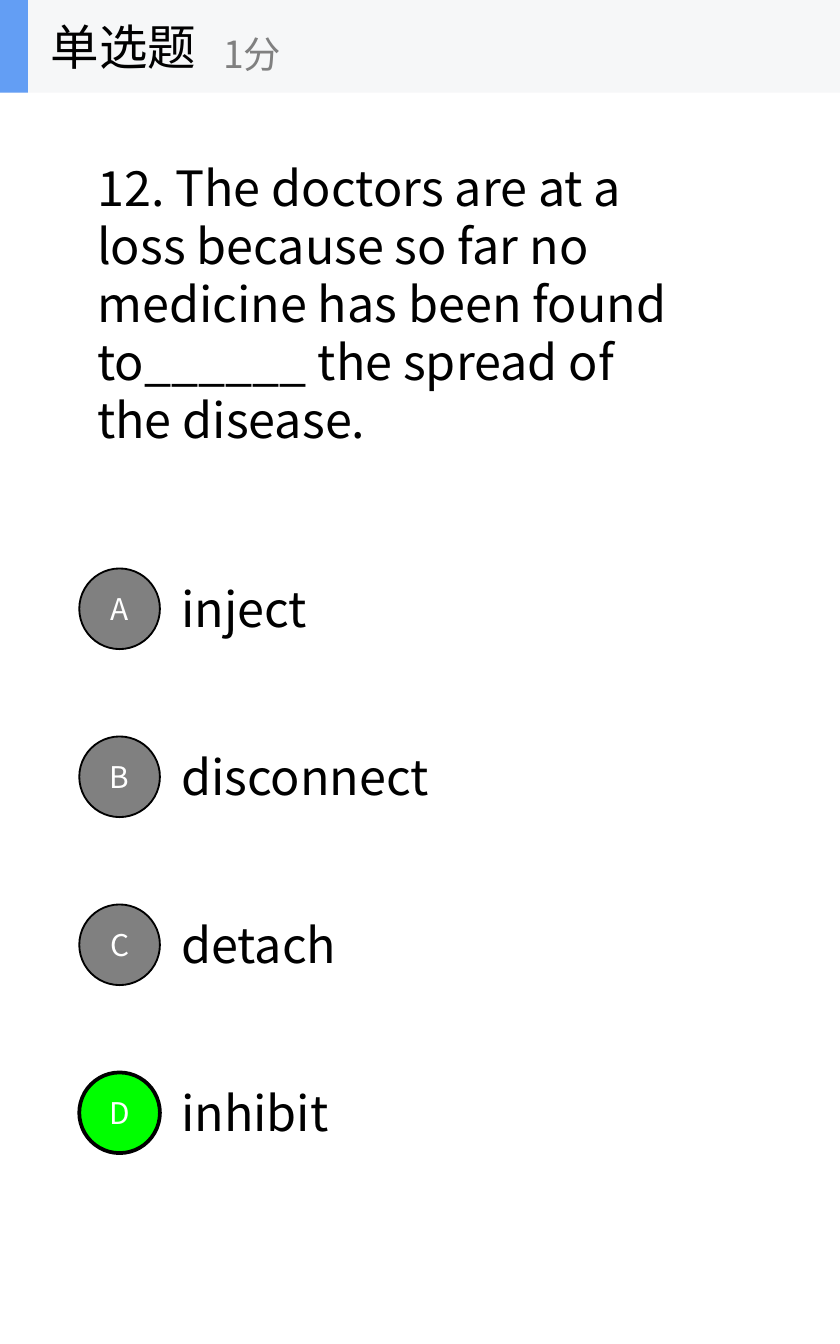
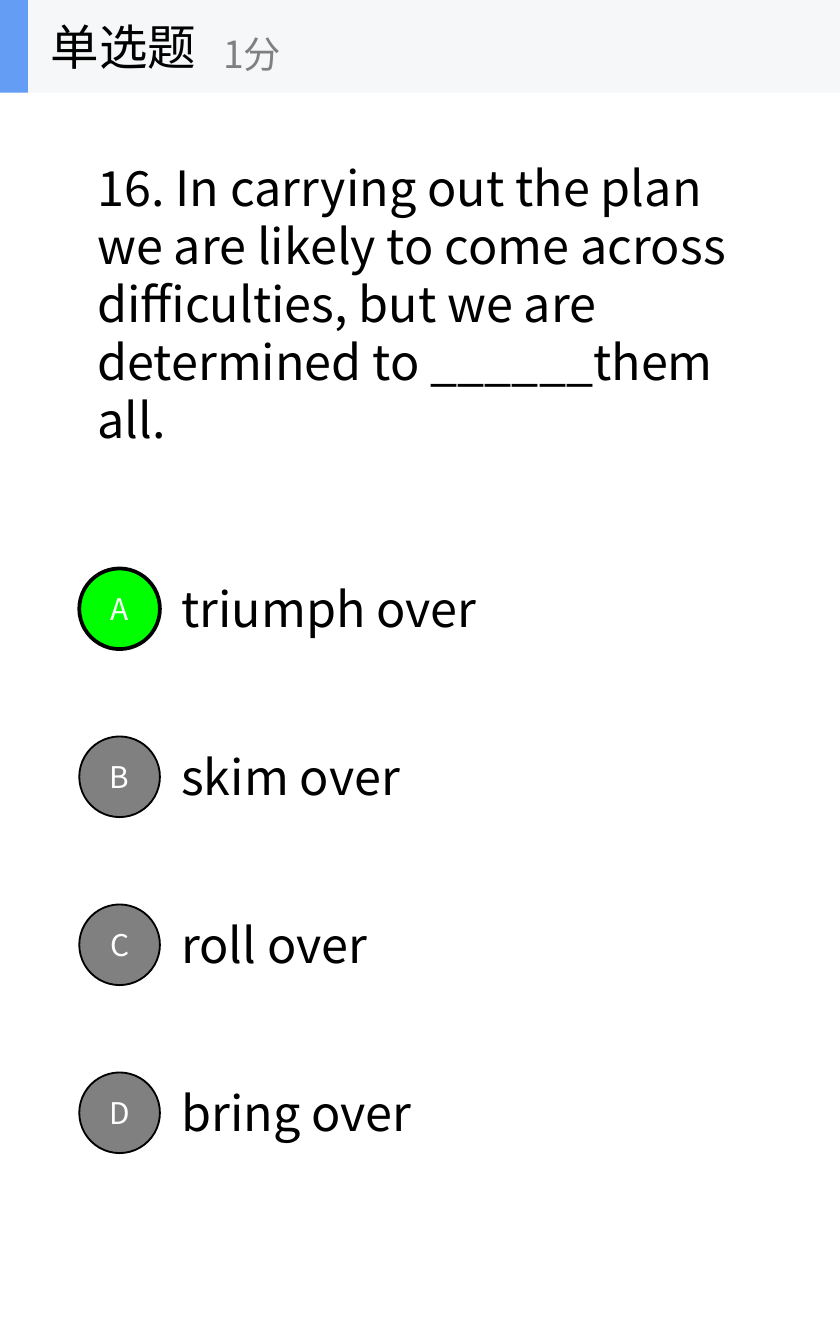
"""Build two single-choice quiz slides with a shared header and lettered options."""
from lxml import etree
from pptx import Presentation, util as u
from pptx.dml.color import RGBColor
from pptx.enum import shapes, text
from pptx.oxml.ns import qn

W, H = 6.25, 10
FONT = "Noto Sans CJK SC"
BLACK, GRAY, WHITE, GREEN = "000000", "808080", "FFFFFF", "00FF00"
BAND, ACCENT = "F6F7F8", "639EF4"
BAND_H = 0.69
OPTION_TOP, OPTION_STEP, BUTTON = 4.23, H / 8, 0.6

questions = [
    ("12. The doctors are at a loss because so far no medicine has been found to______ the spread of the disease.",
     4.6, "D", [("inject", 1.14), ("disconnect", 2.07), ("detach", 1.37), ("inhibit", 1.3)]),
    ("16.\u00a0In carrying out the plan we are likely to come across difficulties, but we are determined to ______them all.",
     4.99, "A", [("triumph over", 2.45), ("skim over", 1.86), ("roll over", 1.62), ("bring over", 1.98)]),
]


def add_text(parent, box, words, size=26, color=BLACK, grow=False, sp=None):
    sp = sp or parent.add_textbox(*map(u.Inches, box))
    tf = sp.text_frame
    tf.word_wrap = True
    tf.auto_size = text.MSO_AUTO_SIZE.SHAPE_TO_FIT_TEXT if grow else text.MSO_AUTO_SIZE.NONE
    tf.vertical_anchor = text.MSO_ANCHOR.MIDDLE
    p = tf.paragraphs[0]
    p.text = words
    p.font.size, p.font.name = u.Pt(size), FONT
    p.font.color.rgb = RGBColor.from_string(color)
    etree.SubElement(p._p.pPr.find(qn("a:defRPr")), qn("a:ea"), typeface=FONT)
    return p


def add_shape(parent, kind, box, fill, line=0):
    sp = parent.add_shape(kind, *map(u.Inches, box))
    sp.shadow.inherit = False
    sp.fill.solid()
    sp.fill.fore_color.rgb = RGBColor.from_string(fill)
    if line:
        sp.line.color.rgb = RGBColor.from_string(BLACK)
        sp.line.width = u.Pt(line)
    else:
        sp.line.fill.background()
    return sp


prs = Presentation()
prs.slide_width, prs.slide_height = u.Inches(W), u.Inches(H)

for question, width, answer, options in questions:
    s = prs.slides.add_slide(prs.slide_layouts[6])
    add_text(s.shapes, (W / 10, 1.12, width, 2.27), question, grow=True)

    for i, (letter, (option, option_w)) in enumerate(zip("ABCD", options)):
        top = OPTION_TOP + i * OPTION_STEP
        add_text(s.shapes, (W / 5, top + 0.03, option_w, 0.53), option, grow=True)
        right = letter == answer
        box = (0.59, top, BUTTON, BUTTON)
        sp = add_shape(s.shapes, shapes.MSO_SHAPE.OVAL, box, GREEN if right else GRAY, 2 if right else 1)
        p = add_text(s.shapes, box, letter, 16, WHITE, sp=sp)
        p.alignment = text.PP_ALIGN.CENTER

    header = s.shapes.add_group_shape().shapes
    add_shape(header, shapes.MSO_SHAPE.RECTANGLE, (0, 0, W, BAND_H), BAND)
    add_shape(header, shapes.MSO_SHAPE.RECTANGLE, (0, 0, W / 30, BAND_H), ACCENT)
    add_text(header, (0.28, 0, W / 3, BAND_H), "单选题")
    add_text(header, (W / 4, 0.12, W * 0.4, 0.56), "1分", 20, GRAY)

prs.save("out.pptx")
